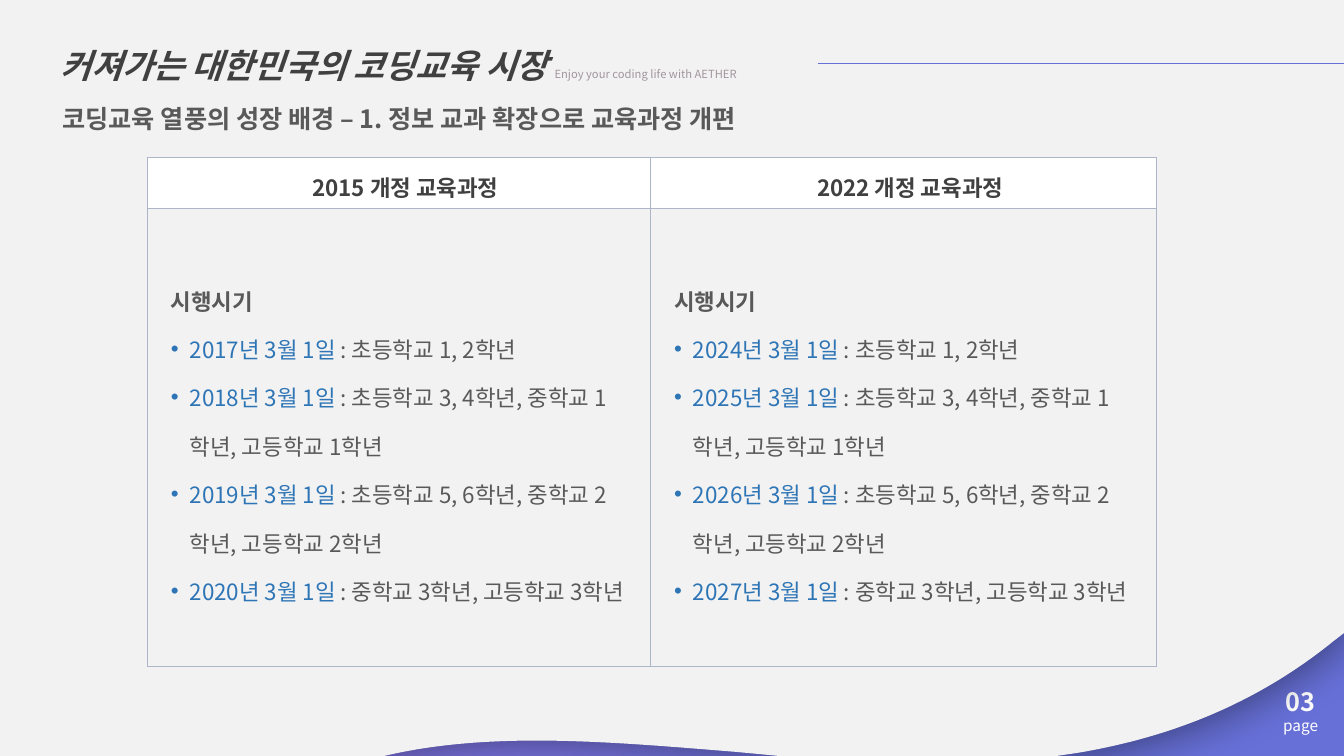
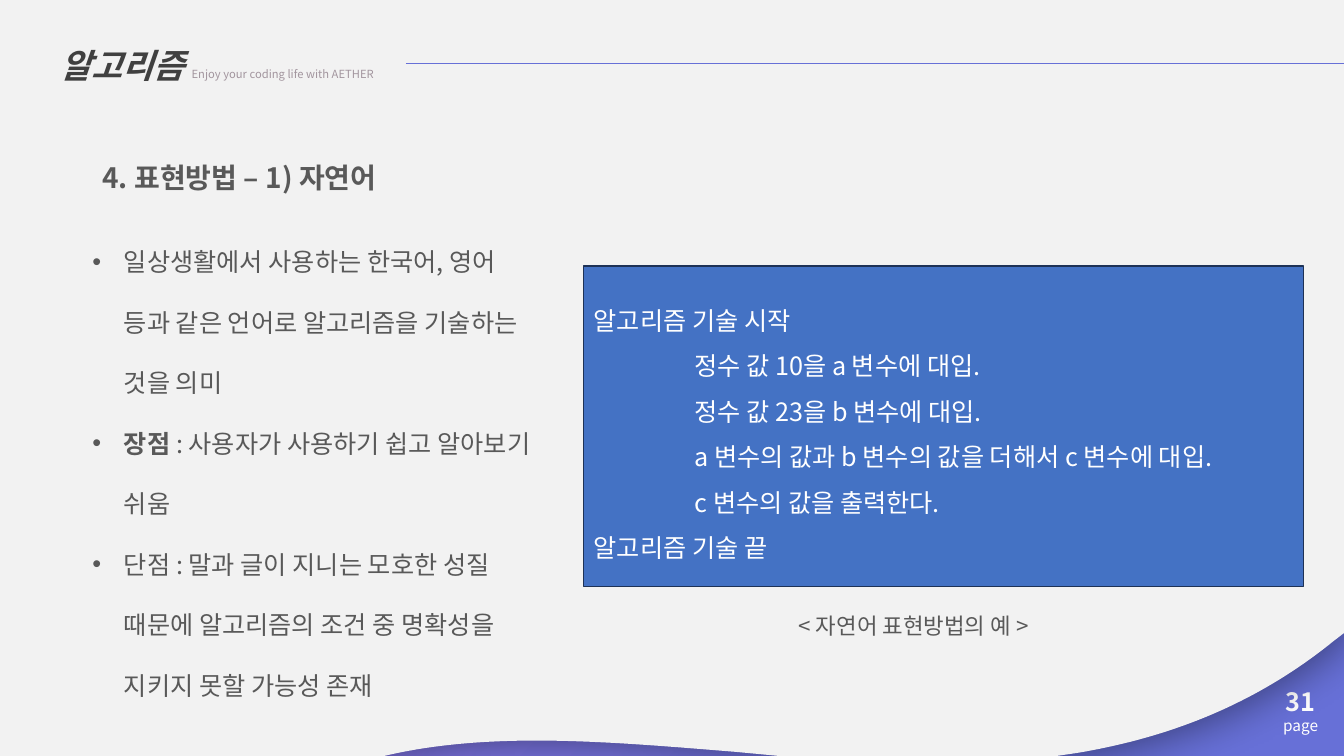
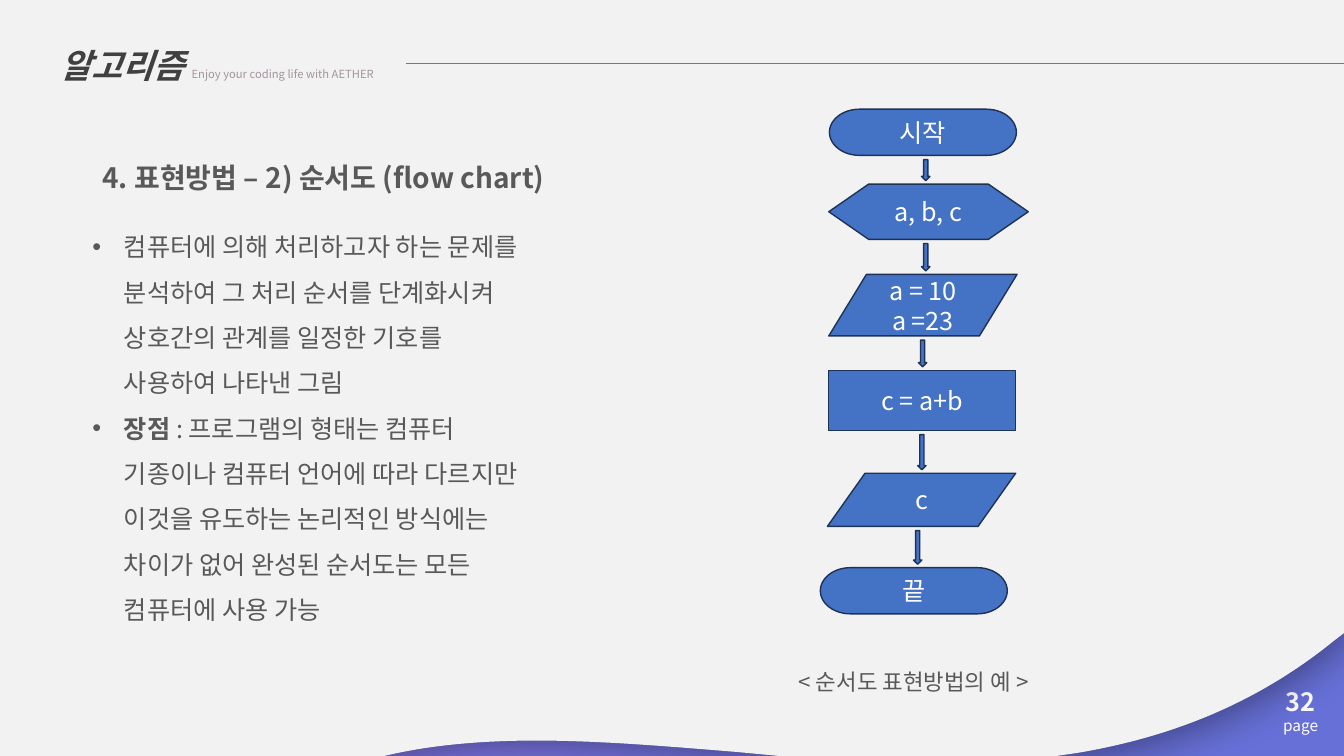
from itertools import pairwise

from lxml.etree import SubElement
from pptx import Presentation
from pptx.dml.color import RGBColor
from pptx.enum.shapes import MSO_CONNECTOR, MSO_SHAPE
from pptx.enum.text import MSO_ANCHOR, PP_ALIGN
from pptx.oxml.ns import qn
from pptx.util import Pt

FONT = "Noto Sans CJK KR"
TAGLINE = "Enjoy your coding life with AETHER"
WIDTH, HEIGHT = 960, 540
LINE_HEIGHT = 1.2  # natural line height as a share of the text size
COLORS = {
    "violet": "9E78EF",
    "indigo": "6770D7",
    "panel": "F2F2F2",
    "title": "404040",
    "tagline": "A2959E",
    "body": "595959",
    "date": "2E75B6",
    "white": "FFFFFF",
    "step": "4472C4",
    "step_edge": "1E3256",
    "grid": "ADB5C8",
    "black": "000000",
}


def rgb(name):
    return RGBColor.from_string(COLORS[name])


def add_xml(parent, tag, **attributes):
    return SubElement(parent, qn(tag), {key: str(value) for key, value in attributes.items()})


# Text

def add_run(paragraph, text, size, color="body", bold=False, italic=False):
    run = paragraph.add_run()
    run.text = text
    font = run.font
    font.size, font.bold, font.italic = Pt(size), bold, italic
    font.color.rgb = rgb(color)
    font.name = FONT
    add_xml(font._element, "a:ea", typeface=FONT)


def write(frame, paragraphs, size, spacing=1.0, align=PP_ALIGN.LEFT, **style):
    """Each paragraph is a string or a dict: runs, bullet hang, indent, size."""
    for index, content in enumerate(paragraphs):
        if isinstance(content, str):
            content = {"runs": [(content, {})]}
        paragraph = frame.paragraphs[0] if index == 0 else frame.add_paragraph()
        text_size = content.get("size", size)
        hang = content.get("hang", 0)
        properties = paragraph._p.get_or_add_pPr()
        properties.set("marL", str(Pt(content.get("indent", hang))))
        properties.set("indent", str(-Pt(hang)))
        if hang:
            add_xml(properties, "a:buFont", typeface="Arial")
            add_xml(properties, "a:buChar", char="•")
        paragraph.alignment = align
        paragraph.line_spacing = Pt(round(text_size * LINE_HEIGHT * spacing, 2))
        for text, run_style in content["runs"]:
            add_run(paragraph, text, **{"size": text_size, **style, **run_style})


def add_text(slide, left, top, width, height, paragraphs, size, **style):
    box = slide.shapes.add_textbox(Pt(left), Pt(top), Pt(width), Pt(height))
    box.text_frame.word_wrap = True
    write(box.text_frame, paragraphs, size, **style)


def bullet(*runs, hang=22.5):
    return {"hang": hang, "runs": runs}


# Shared frame of every slide

def set_background(master):
    fill = master.background.fill
    fill.gradient()
    for stop, position, color in zip(fill.gradient_stops, (0.16, 0.82), ("violet", "indigo")):
        stop.position = position
        stop.color.rgb = rgb(color)
    gradient = master.element.xpath(".//p:bg//a:gradFill")[0]
    for linear in gradient.findall(qn("a:lin")):
        gradient.remove(linear)
    circle = add_xml(gradient, "a:path", path="circle")
    add_xml(circle, "a:fillToRect", r=100000, b=100000)


def curve(start, control_1, control_2, end, steps=40):
    """Points of a cubic curve, without its start."""
    points = []
    for step in range(1, steps + 1):
        t = step / steps
        weights = ((1 - t) ** 3, 3 * t * (1 - t) ** 2, 3 * t * t * (1 - t), t ** 3)
        corners = (start, control_1, control_2, end)
        points.append(tuple(sum(w * c[axis] for w, c in zip(weights, corners))
                            for axis in (0, 1)))
    return points


def add_panel(slide, title):
    right_wave = ((952.6, 457.9), (895.7, 504), (833.8, 527), (769.7, 537.8))
    left_wave = ((525.6, 537.1), (436.3, 529.9), (350.6, 522), (274.3, HEIGHT))
    outline = [(WIDTH, 0), (WIDTH, 452.2), right_wave[0], *curve(*right_wave),
               (754.6, HEIGHT), (556.6, HEIGHT), left_wave[0], *curve(*left_wave),
               (0, HEIGHT)]
    builder = slide.shapes.build_freeform(0, 0, scale=1.0)
    builder.add_line_segments([(Pt(x), Pt(y)) for x, y in outline], close=True)
    panel = builder.convert_to_shape()
    panel.fill.solid()
    panel.fill.fore_color.rgb = rgb("panel")
    panel.line.fill.background()

    panel.shadow.inherit = False
    effects = panel._element.spPr.find(qn("a:effectLst"))
    shadow = add_xml(effects, "a:outerShdw", blurRad=Pt(30), dist=Pt(6),
                     dir=45 * 60000, algn="tl", rotWithShape=0)
    shade = add_xml(shadow, "a:srgbClr", val=COLORS["black"])
    add_xml(shade, "a:alpha", val=40000)

    frame = panel.text_frame
    frame.word_wrap = True
    frame.vertical_anchor = MSO_ANCHOR.TOP
    heading = {"indent": 36, "runs": [
        (title + " ", {"color": "title", "bold": True, "italic": True}),
        (TAGLINE, {"size": 8, "color": "tagline"}),
    ]}
    write(frame, [heading], 24, spacing=2)


def add_slide(prs, title, page, rule_left):
    slide = prs.slides.add_slide(prs.slide_layouts[6])
    add_text(slide, 898, 486.5, 62, 44, [
        {"runs": [(page, {"bold": True})]},
        {"size": 11, "runs": [("page", {})]},
    ], 18, align=PP_ALIGN.CENTER, color="white")
    add_panel(slide, title)
    rule = slide.shapes.add_connector(MSO_CONNECTOR.STRAIGHT, Pt(rule_left), Pt(45.4),
                                      Pt(WIDTH), Pt(45.4))
    rule.line.color.rgb = rgb("indigo")
    rule.line.width = Pt(1)
    add_xml(rule._element.spPr, "a:effectLst")
    return slide


def add_topic(slide, heading, points, spacing, height):
    add_text(slide, 66, 111, 345, 31.5, [heading], 20, bold=True)
    add_text(slide, 59, 151, 329, height, points, 18, spacing=spacing)


def add_caption(slide, top, text):
    add_text(slide, 480, top, 345, 26.5, [text], 16, align=PP_ALIGN.CENTER)


def add_block(slide, kind, left, top, width, height):
    block = slide.shapes.add_shape(kind, Pt(left), Pt(top), Pt(width), Pt(height))
    block.shadow.inherit = False
    block.fill.solid()
    block.fill.fore_color.rgb = rgb("step")
    block.line.color.rgb = rgb("step_edge")
    block.line.width = Pt(1)
    block.text_frame.word_wrap = True
    block.text_frame.vertical_anchor = MSO_ANCHOR.MIDDLE
    return block


# Curriculum table

def set_borders(cell):
    properties = cell._tc.get_or_add_tcPr()
    for index, side in enumerate(("lnL", "lnR", "lnT", "lnB")):
        border = add_xml(properties, "a:" + side, w=Pt(0.75))
        fill = add_xml(border, "a:solidFill")
        add_xml(fill, "a:srgbClr", val=COLORS["grid"])
        properties.insert(index, border)


def add_curriculum_table(slide, curricula):
    widths, heights = (359.5, 361.5), (36, 327.6)
    table = slide.shapes.add_table(2, 2, Pt(105), Pt(112.7),
                                   Pt(sum(widths)), Pt(sum(heights))).table
    table.first_row = table.horz_banding = False
    for row, height in zip(table.rows, heights):
        row.height = Pt(height)
    for column, width in zip(table.columns, widths):
        column.width = Pt(width)
    for cell in table.iter_cells():
        cell.vertical_anchor = MSO_ANCHOR.MIDDLE
        cell.margin_left = Pt(17)
        set_borders(cell)

    for column, (year, first_year, grades) in enumerate(curricula):
        header, schedule = table.cell(0, column), table.cell(1, column)
        header.fill.solid()
        header.fill.fore_color.rgb = rgb("white")
        write(header.text_frame, [f"{year} 개정 교육과정"], 16, spacing=1.5,
              align=PP_ALIGN.CENTER, color="title", bold=True)
        schedule.fill.background()
        stages = [bullet((f"{start}년 3월 1일 ", {"color": "date"}), (f": {grade}", {}),
                         hang=13.5)
                  for start, grade in enumerate(grades, first_year)]
        write(schedule.text_frame,
              [{"runs": [("시행시기", {"bold": True})]}, *stages], 16, spacing=1.8)


# Flow chart

def add_flow_chart(slide, steps):
    for kind, left, top, width, height, lines in steps:
        step = add_block(slide, kind, left, top, width, height)
        write(step.text_frame, lines, 18, align=PP_ALIGN.CENTER, color="white")
    for upper, lower in pairwise(steps):
        centre = sum(left + width / 2 for _, left, _, width, _, _ in (upper, lower)) / 2
        start = upper[2] + upper[4] + 3
        add_block(slide, MSO_SHAPE.DOWN_ARROW, centre - 3, start, 6, lower[2] - 2.5 - start)


# Slides

def build_curriculum(prs):
    slide = add_slide(prs, "커져가는 대한민국의 코딩교육 시장", "03", 584)
    add_text(slide, 37.5, 70, 546.5, 29,
             ["코딩교육 열풍의 성장 배경 – 1. 정보 교과 확장으로 교육과정 개편"], 18, bold=True)
    grades = ["초등학교 1, 2학년",
              "초등학교 3, 4학년, 중학교 1학년, 고등학교 1학년",
              "초등학교 5, 6학년, 중학교 2학년, 고등학교 2학년",
              "중학교 3학년, 고등학교 3학년"]
    add_curriculum_table(slide, [(2015, 2017, grades), (2022, 2024, grades)])


def build_natural_language(prs):
    slide = add_slide(prs, "알고리즘", "31", 290)
    example = add_block(slide, MSO_SHAPE.RECTANGLE, 417, 190, 514, 229)
    statements = ["정수 값 10을 a 변수에 대입.",
                  "정수 값 23을 b 변수에 대입.",
                  "a 변수의 값과 b 변수의 값을 더해서 c 변수에 대입.",
                  "c 변수의 값을 출력한다."]
    write(example.text_frame,
          ["알고리즘 기술 시작",
           *({"indent": 72, "runs": [(statement, {})]} for statement in statements),
           "알고리즘 기술 끝"], 18, spacing=1.5, color="white")
    add_topic(slide, "4. 표현방법 – 1) 자연어", [
        bullet(("일상생활에서 사용하는 한국어, 영어 등과 같은 언어로 알고리즘을 기술하는 것을 의미", {})),
        bullet(("장점 ", {"bold": True}), (": 사용자가 사용하기 쉽고 알아보기 쉬움", {})),
        bullet(("단점 : 말과 글이 지니는 모호한 성질 때문에 알고리즘의 조건 중 명확성을 "
                "지키지 못할 가능성 존재", {})),
    ], spacing=2, height=353)
    add_caption(slide, 433.5, "< 자연어 표현방법의 예 >")


def build_flow_chart(prs):
    slide = add_slide(prs, "알고리즘", "32", 290)
    add_topic(slide, "4. 표현방법 – 2) 순서도 (flow chart)", [
        bullet(("컴퓨터에 의해 처리하고자 하는 문제를 분석하여 그 처리 순서를 단계화시켜 "
                "상호간의 관계를 일정한 기호를 사용하여 나타낸 그림", {})),
        bullet(("장점 ", {"bold": True}),
               (": 프로그램의 형태는 컴퓨터 기종이나 컴퓨터 언어에 따라 다르지만 이것을 유도하는 "
                "논리적인 방식에는 차이가 없어 완성된 순서도는 모든 컴퓨터에 사용 가능", {})),
    ], spacing=1.5, height=331)
    add_caption(slide, 474, "< 순서도 표현방법의 예 >")
    add_flow_chart(slide, [
        (MSO_SHAPE.FLOWCHART_TERMINATOR, 592.5, 78, 133.5, 33, ["시작"]),
        (MSO_SHAPE.FLOWCHART_PREPARATION, 592, 131.5, 142.5, 39.5, ["a, b, c"]),
        (MSO_SHAPE.FLOWCHART_DATA, 592, 196, 134.5, 44, ["a = 10", "a =23"]),
        (MSO_SHAPE.RECTANGLE, 592, 264.5, 133.5, 43, ["c = a+b"]),
        (MSO_SHAPE.FLOWCHART_DATA, 591, 338, 134.5, 38, ["c"]),
        (MSO_SHAPE.FLOWCHART_TERMINATOR, 586, 405.5, 133.5, 33, ["끝"]),
    ])


def main():
    prs = Presentation()
    prs.slide_width, prs.slide_height = Pt(WIDTH), Pt(HEIGHT)
    set_background(prs.slide_master)
    build_curriculum(prs)
    build_natural_language(prs)
    build_flow_chart(prs)
    prs.save("out.pptx")


if __name__ == "__main__":
    main()
